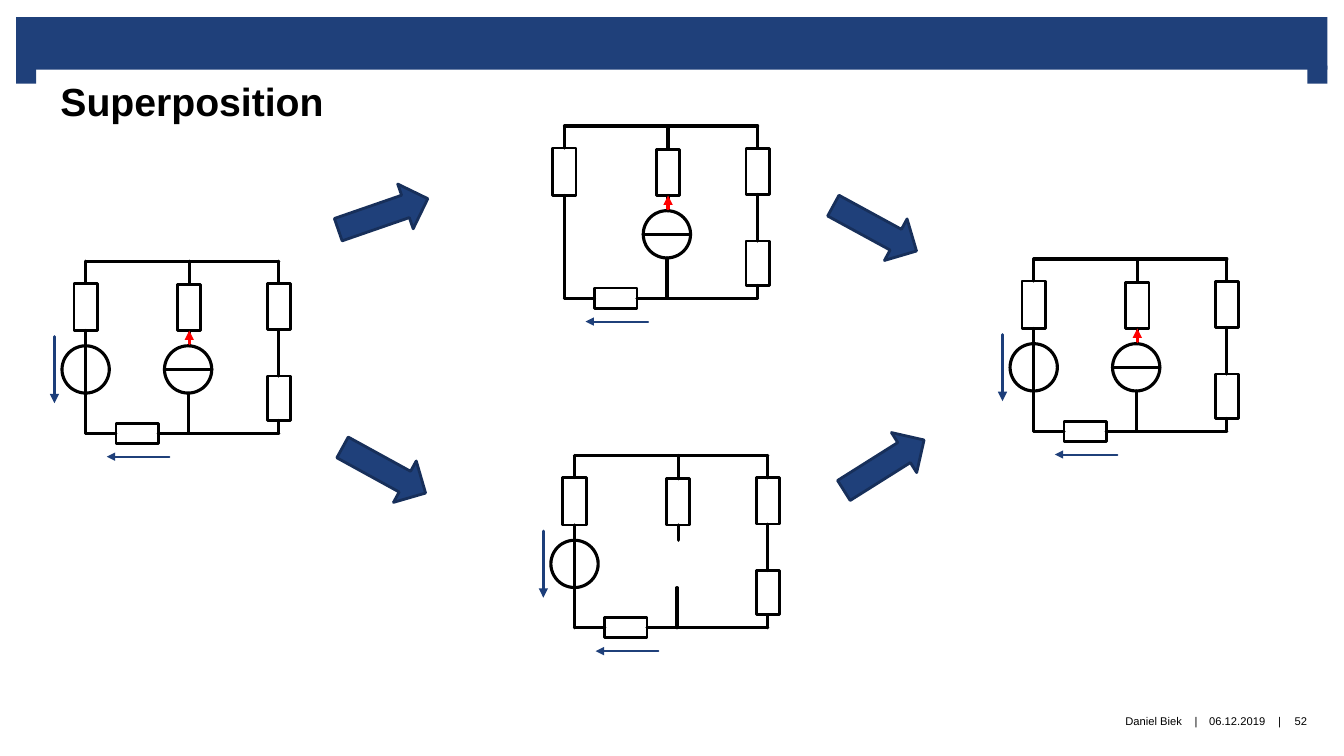
"""Builds a slide that shows superposition in a circuit with two sources."""
from lxml import etree
from pptx import Presentation
from pptx.dml.color import RGBColor
from pptx.enum.shapes import MSO_CONNECTOR, MSO_SHAPE
from pptx.enum.text import MSO_ANCHOR, MSO_AUTO_SIZE, PP_ALIGN
from pptx.oxml.ns import qn
from pptx.util import Pt

STRAIGHT = MSO_CONNECTOR.STRAIGHT
RECTANGLE, OVAL, BLOCK_ARROW = MSO_SHAPE.RECTANGLE, MSO_SHAPE.OVAL, MSO_SHAPE.RIGHT_ARROW
TOP_ANCHOR, MIDDLE_ANCHOR = MSO_ANCHOR.TOP, MSO_ANCHOR.MIDDLE
ALIGN_LEFT, ALIGN_CENTER, ALIGN_RIGHT = PP_ALIGN.LEFT, PP_ALIGN.CENTER, PP_ALIGN.RIGHT
NO_AUTOFIT = MSO_AUTO_SIZE.NONE

BLACK = RGBColor(0x00, 0x00, 0x00)
WHITE = RGBColor(0xFF, 0xFF, 0xFF)
RED = RGBColor(0xFF, 0x00, 0x00)
BLUE = RGBColor(0x1F, 0x40, 0x7A)
VOLTAGE_BLUE = RGBColor(0x1C, 0x3E, 0x7A)
DARK_BLUE = RGBColor(0x17, 0x2F, 0x5A)

TOP, LEFT, BOTTOM, RIGHT = range(4)
MIDDLE_X, RIGHT_X, BOTTOM_Y = 74, 138, 123
SOURCE_TOP, SOURCE_SIZE = 60.5, 33.8
SOURCE_BOTTOM = SOURCE_TOP + SOURCE_SIZE
SOURCE_X = 73.2


class CircuitSlide:
    """Holds the style and the current slide, and draws each kind of element."""

    font = "Arial"
    wire_width = 2.25
    outline_width = 2

    def __init__(self, presentation):
        self.slide = presentation.slides.add_slide(presentation.slide_layouts[5])

    def add_words(self, frame, text, size, align, bold=False):
        paragraph = frame.paragraphs[0]
        paragraph.alignment = align
        run = paragraph.add_run()
        run.text = text
        run.font.name = self.font
        run.font.size = Pt(size)
        run.font.bold = bold
        run.font.color.rgb = BLACK

    def title(self, text, left, top, width, height):
        title = self.slide.shapes.title
        title.left, title.top, title.width, title.height = map(Pt, (left, top, width, height))
        frame = title.text_frame
        frame.auto_size = NO_AUTOFIT
        frame.word_wrap = True
        frame.vertical_anchor = TOP_ANCHOR
        frame.margin_left = frame.margin_right = Pt(11.5)
        frame.margin_top, frame.margin_bottom = Pt(8.6), Pt(0)
        self.add_words(frame, text, 28, ALIGN_LEFT, bold=True)

    def footer(self, text, left, width, align=ALIGN_CENTER):
        box = self.slide.shapes.add_textbox(Pt(left), Pt(496.5), Pt(width), Pt(36.5))
        frame = box.text_frame
        frame.word_wrap = False
        frame.vertical_anchor = MIDDLE_ANCHOR
        frame.margin_left = frame.margin_right = frame.margin_top = frame.margin_bottom = Pt(0)
        self.add_words(frame, text, 8, align)

    def shape(self, kind, left, top, width, height, fill=None, line=None, weight=2, rotation=0):
        shape = self.slide.shapes.add_shape(kind, Pt(left), Pt(top), Pt(width), Pt(height))
        shape.shadow.inherit = False
        shape.rotation = rotation
        if fill is None:
            shape.fill.background()
        else:
            shape.fill.solid()
            shape.fill.fore_color.rgb = fill
        if line is None:
            shape.line.fill.background()
        else:
            shape.line.color.rgb = line
            shape.line.width = Pt(weight)
        return shape

    def line(self, origin, start, end, color=BLACK, weight=wire_width, arrow=False):
        def place(point):
            if isinstance(point[0], (int, float)):
                return Pt(origin[0] + point[0]), Pt(origin[1] + point[1])
            return 0, 0

        connector = self.slide.shapes.add_connector(STRAIGHT, *place(start), *place(end))
        for point, connect in ((start, connector.begin_connect), (end, connector.end_connect)):
            if not isinstance(point[0], (int, float)):
                connect(*point)
        connector.line.color.rgb = color
        connector.line.width = Pt(weight)
        properties = connector.element.spPr
        outline = properties.find(qn("a:ln"))
        outline.set("cap", "rnd")
        if arrow:
            etree.SubElement(outline, qn("a:tailEnd"), type="triangle")
        etree.SubElement(properties, qn("a:effectLst"))

    def resistor(self, origin, center_x, center_y, width, height):
        return self.shape(RECTANGLE, origin[0] + center_x - width / 2, origin[1] + center_y - height / 2,
                          width, height, WHITE, BLACK, self.outline_width)

    def source(self, origin, center_x):
        self.shape(OVAL, origin[0] + center_x - SOURCE_SIZE / 2, origin[1] + SOURCE_TOP,
                   SOURCE_SIZE, SOURCE_SIZE, line=BLACK, weight=self.wire_width)

    def circuit(self, origin, voltage_source=True, current_source=True):
        left = self.resistor(origin, 0, 32.7, 16.6, 33.8)
        middle = self.resistor(origin, MIDDLE_X, 33.1, 16.6, 33.1)
        upper_right = self.resistor(origin, RIGHT_X, 32.4, 16.6, 33.1)
        lower_right = self.resistor(origin, RIGHT_X, 98, 16.6, 31.7)
        bottom = self.resistor(origin, 36.7, BOTTOM_Y, 30.2, 14.4)
        wires = (
            ((0, 0), (RIGHT_X, 0)),
            ((0, 0), (left, TOP)),
            ((MIDDLE_X, 0), (middle, TOP)),
            ((RIGHT_X, 0), (upper_right, TOP)),
            ((left, BOTTOM), (0, SOURCE_TOP)),
            ((0, SOURCE_TOP), (0, SOURCE_BOTTOM)),
            ((0, SOURCE_BOTTOM), (0, BOTTOM_Y)),
            ((middle, BOTTOM), (MIDDLE_X, SOURCE_TOP)),
            ((SOURCE_X, SOURCE_BOTTOM), (SOURCE_X, BOTTOM_Y)),
            ((upper_right, BOTTOM), (lower_right, TOP)),
            ((lower_right, BOTTOM), (RIGHT_X, BOTTOM_Y)),
            ((0, BOTTOM_Y), (bottom, LEFT)),
            ((bottom, RIGHT), (RIGHT_X, BOTTOM_Y)),
        )
        for start, end in wires:
            self.line(origin, start, end)
        if voltage_source:
            self.source(origin, 0)
            self.line(origin, (-22.3, 54), (-22.3, 101.5), VOLTAGE_BLUE, arrow=True)
        if current_source:
            self.source(origin, SOURCE_X)
            center_y, radius = SOURCE_TOP + SOURCE_SIZE / 2, SOURCE_SIZE / 2
            self.line(origin, (SOURCE_X + radius, center_y), (SOURCE_X - radius, center_y))
            self.line(origin, (MIDDLE_X, 59), (middle, BOTTOM), RED, arrow=True)
        self.line(origin, (59.8, 139.7), (15.1, 139.7), BLUE, 1.5, arrow=True)


def main():
    """Draws the slide and saves it."""
    presentation = Presentation()
    presentation.slide_width, presentation.slide_height = Pt(960), Pt(540)
    page = CircuitSlide(presentation)

    page.shape(RECTANGLE, 11.5, 12.2, 936.7, 37.5, BLUE)
    for bracket_left in (11.5, 933.8):
        page.shape(RECTANGLE, bracket_left, 46.8, 14.4, 13, BLUE)
    page.title("Superposition", 31.7, 46.8, 792, 114.5)

    page.circuit((61.2, 186.5))
    page.circuit((410.4, 325.4), current_source=False)
    page.circuit((403.2, 90), voltage_source=False)
    page.circuit((738.4, 185))

    for left, top, rotation in ((239.8, 136.1, 340.9), (240.5, 319, 28.8),
                                (597.6, 315.4, 327.8), (591.1, 146.2, 28.6)):
        page.shape(BLOCK_ARROW, left, top, 67.7, 33.8, BLUE, DARK_BLUE, rotation=rotation)

    page.footer("Daniel Biek", 479.5, 365, ALIGN_RIGHT)
    page.footer("06.12.2019", 859.7, 48.2)
    page.footer("52", 915.1, 28.1)
    for separator_left in (848.9, 908.6):
        page.footer("|", separator_left, 10.8)

    presentation.save("out.pptx")


if __name__ == "__main__":
    main()
